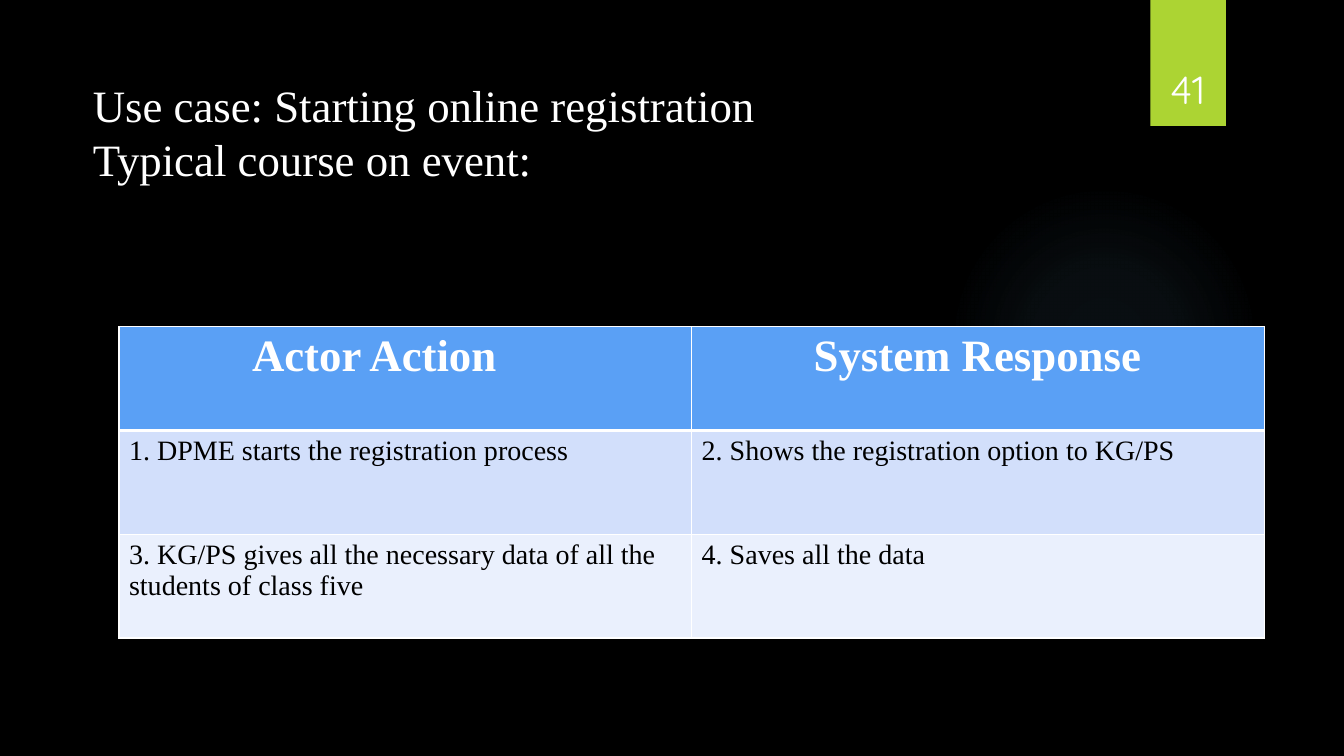
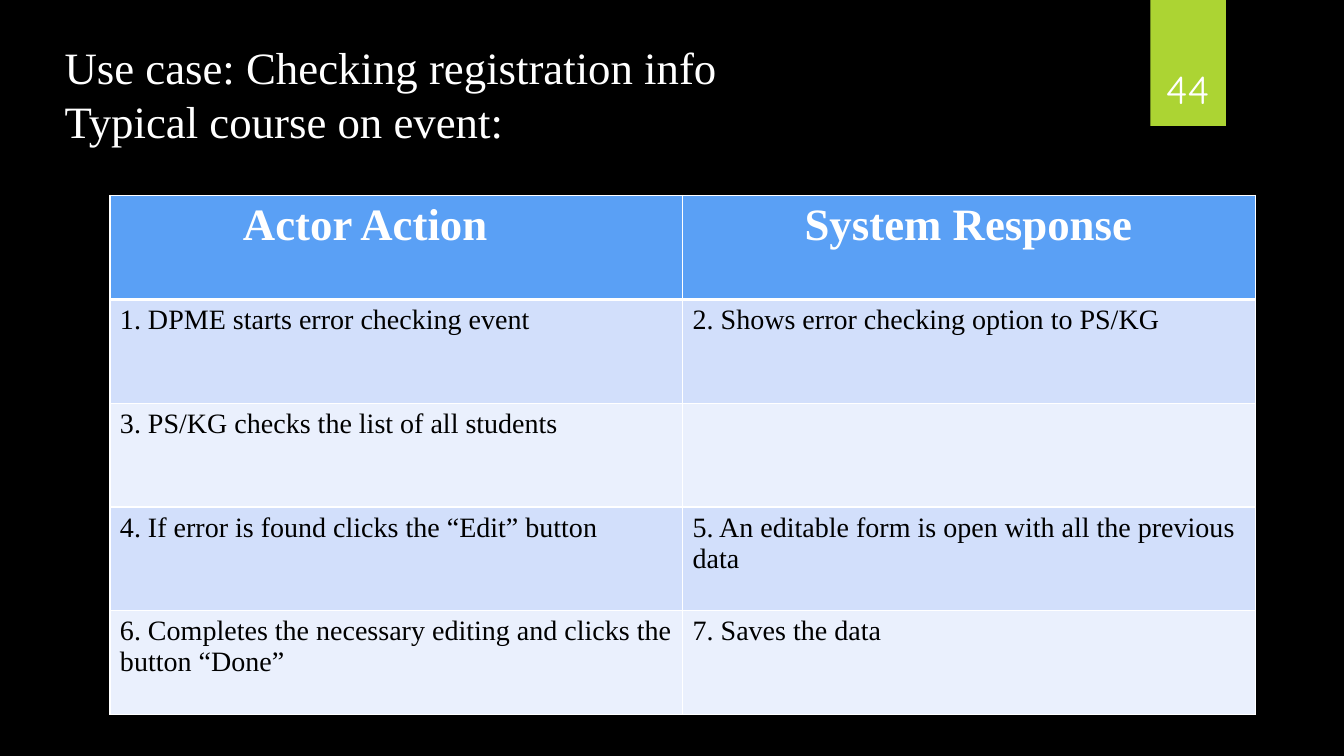
from pptx import Presentation
from pptx.dml.color import RGBColor
from pptx.enum.shapes import MSO_SHAPE
from pptx.enum.text import MSO_ANCHOR, MSO_AUTO_SIZE, PP_ALIGN
from pptx.oxml import parse_xml
from pptx.oxml.ns import nsdecls, qn
from pptx.util import Inches, Pt

RECTANGLE, OVAL = MSO_SHAPE.RECTANGLE, MSO_SHAPE.OVAL
TOP, BOTTOM = MSO_ANCHOR.TOP, MSO_ANCHOR.BOTTOM
LEFT, CENTER = PP_ALIGN.LEFT, PP_ALIGN.CENTER
FIT_SHAPE = MSO_AUTO_SIZE.SHAPE_TO_FIT_TEXT

BLACK, WHITE = "000000", "FFFFFF"
LIME, GLOW = "ACD433", "7AC4F0"
HEADER_BLUE, BANDS = "5AA0F5", ("D2DFFB", "EAF0FD")
SERIF, ROUNDED = "Times New Roman", "Quicksand"

TITLE_FONT = {"name": SERIF, "size": Pt(32), "bold": False}
HEADER_FONT = {"name": SERIF, "size": Pt(32), "bold": True}
BODY_FONT = {"name": SERIF, "size": Pt(20), "bold": False}
NUMBER_FONT = {"name": ROUNDED, "size": Pt(28)}

COLUMN_WIDTH, ROW_HEIGHT = 5.68, 1.03
HEADERS = (("Actor Action", 1.32), ("System Response", 1.21))
TITLE_ONLY = 5

SLIDES = (
    {
        "number": "41",
        "title": ("Use case: Starting online registration", "Typical course on event:"),
        "title_at": (0.82, 0.72),
        "table_at": (1.18, 3.24),
        "rows": (
            ("1. DPME starts the registration process",
             "2. Shows the registration option to KG/PS"),
            ("3. KG/PS gives all the necessary data of all the students of class five",
             "4. Saves all the data"),
        ),
    },
    {
        "number": "44",
        "title": ("Use case: Checking registration info", "Typical course on event:"),
        "title_at": (0.54, 0.34),
        "table_at": (1.09, 1.94),
        "rows": (
            ("1. DPME starts error checking event",
             "2. Shows error checking option to PS/KG"),
            ("3. PS/KG checks the list of all students", ""),
            ("4. If error is found clicks the “Edit” button",
             "5. An editable form is open with all the previous data"),
            ("6. Completes the necessary editing and clicks the button “Done”",
             "7. Saves the data"),
        ),
    },
)


def rgb(color):
    return RGBColor.from_string(color)


def apply(target, values):
    for name, value in values.items():
        setattr(target, name, value)


class UseCaseDeck:
    """Holds the presentation style and the slide being built."""

    def __init__(self):
        self.presentation = Presentation()
        apply(self.presentation, {"slide_width": Inches(13.33), "slide_height": Inches(7.5)})
        background = self.presentation.slide_master.background.fill
        background.solid()
        background.fore_color.rgb = rgb(BLACK)
        self.slide = None

    def add_slide(self):
        layout = self.presentation.slide_layouts[TITLE_ONLY]
        self.slide = self.presentation.slides.add_slide(layout)
        self.add_glow()
        self.add_shape(RECTANGLE, (11.41, 0, 0.75, 1.25), LIME)

    def add_shape(self, kind, box, color):
        shape = self.slide.shapes.add_shape(kind, *map(Inches, box))
        shape.shadow.inherit = False
        shape.fill.solid()
        shape.fill.fore_color.rgb = rgb(color)
        shape.line.fill.background()
        return shape

    def add_glow(self):
        """Adds a faint disc that fades out from its centre."""
        shape = self.add_shape(OVAL, (9.41, 1.83, 3.08, 3.08), GLOW)
        stops = "".join(
            f'<a:gs pos="{position * 1000}"><a:srgbClr val="{GLOW}">'
            f'<a:alpha val="{alpha * 1000}"/></a:srgbClr></a:gs>'
            for position, alpha in ((0, 7), (36, 6), (69, 0), (100, 0)))
        gradient = parse_xml(
            f'<a:gradFill {nsdecls("a")} rotWithShape="1"><a:gsLst>{stops}</a:gsLst>'
            '<a:path path="circle"><a:fillToRect l="50000" t="50000" r="50000" b="50000"/>'
            '</a:path></a:gradFill>')
        properties = shape.element.spPr
        properties.replace(properties.find(qn("a:solidFill")), gradient)

    def set_text(self, paragraph, text, font, color, **layout):
        paragraph.text = text
        apply(paragraph, layout)
        apply(paragraph.font, font)
        paragraph.font.color.rgb = rgb(color)

    def add_title(self, lines, position):
        title = self.slide.shapes.title
        left, top = map(Inches, position)
        apply(title, {"left": left, "top": top, "width": Inches(10.3), "height": Inches(1.18)})
        frame = title.text_frame
        apply(frame, {"vertical_anchor": TOP, "word_wrap": True, "auto_size": FIT_SHAPE})
        for index, line in enumerate(lines):
            paragraph = frame.add_paragraph() if index else frame.paragraphs[0]
            self.set_text(paragraph, line, TITLE_FONT, WHITE, alignment=LEFT,
                          line_spacing=Pt(38.5), space_before=Pt(0))

    def add_number(self, number):
        box = self.slide.shapes.add_textbox(*map(Inches, (11.32, 0.32, 0.92, 0.84)))
        apply(box.text_frame, {"word_wrap": True, "vertical_anchor": BOTTOM})
        self.set_text(box.text_frame.paragraphs[0], number, NUMBER_FONT, WHITE,
                      alignment=CENTER)

    def style_cell(self, cell, color, top=1, bottom=1):
        """Sets the fill and the white borders, with widths in points."""
        properties = cell._tc.get_or_add_tcPr()
        for side, width in (("L", 1), ("R", 1), ("T", top), ("B", bottom)):
            properties.append(parse_xml(
                f'<a:ln{side} {nsdecls("a")} w="{int(Pt(width))}"><a:solidFill>'
                f'<a:srgbClr val="{WHITE}"/></a:solidFill></a:ln{side}>'))
        cell.fill.solid()
        cell.fill.fore_color.rgb = rgb(color)

    def add_table(self, rows, position):
        count = len(rows) + 1
        size = (COLUMN_WIDTH * len(HEADERS), ROW_HEIGHT * count)
        table = self.slide.shapes.add_table(
            count, len(HEADERS), *map(Inches, position + size)).table
        table.horz_banding = False
        for row in table.rows:
            row.height = Inches(ROW_HEIGHT)
        for column, (text, margin) in enumerate(HEADERS):
            cell = table.cell(0, column)
            cell.margin_left = Inches(margin)
            self.style_cell(cell, HEADER_BLUE, bottom=3)
            self.set_text(cell.text_frame.paragraphs[0], text, HEADER_FONT, WHITE)
        for index, texts in enumerate(rows):
            for column, text in enumerate(texts):
                cell = table.cell(index + 1, column)
                self.style_cell(cell, BANDS[index % 2], top=1 if index else 3)
                self.set_text(cell.text_frame.paragraphs[0], text, BODY_FONT, BLACK)


def main():
    deck = UseCaseDeck()
    for content in SLIDES:
        deck.add_slide()
        deck.add_title(content["title"], content["title_at"])
        deck.add_table(content["rows"], content["table_at"])
        deck.add_number(content["number"])
    deck.presentation.save("out.pptx")


if __name__ == "__main__":
    main()
